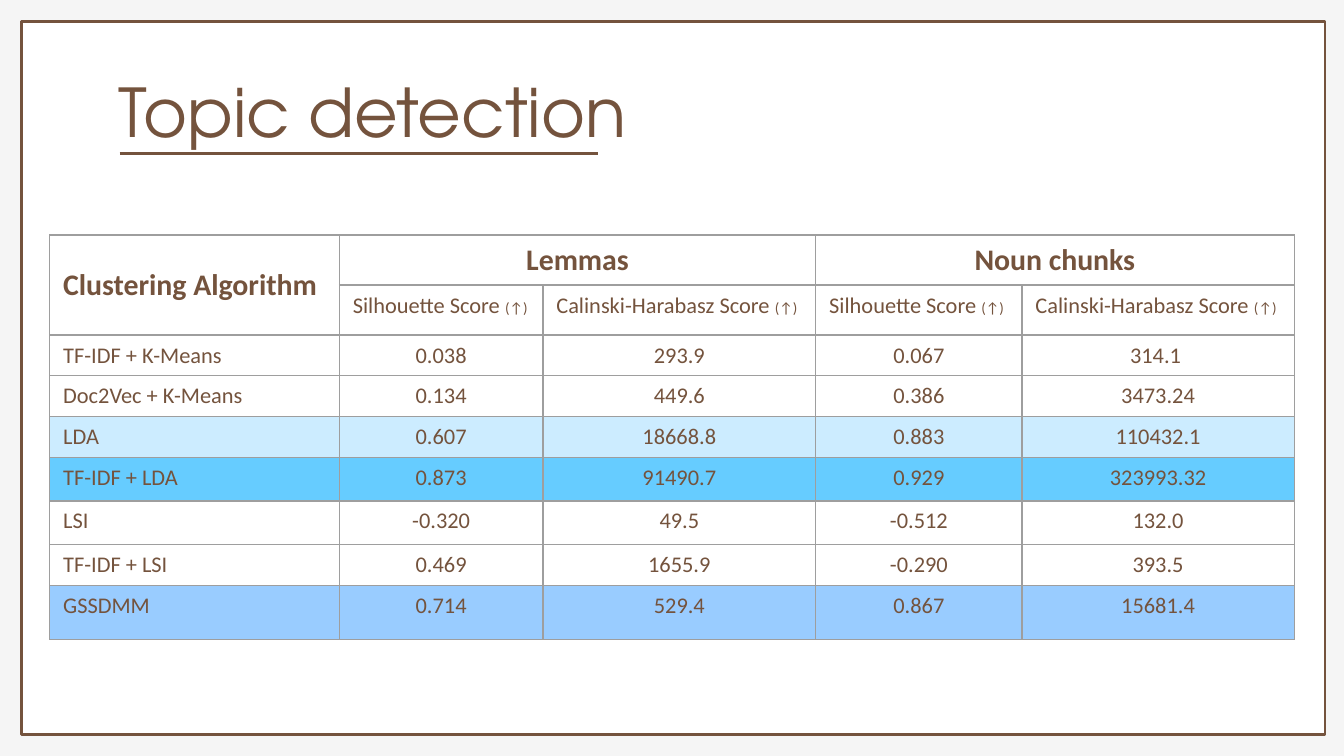
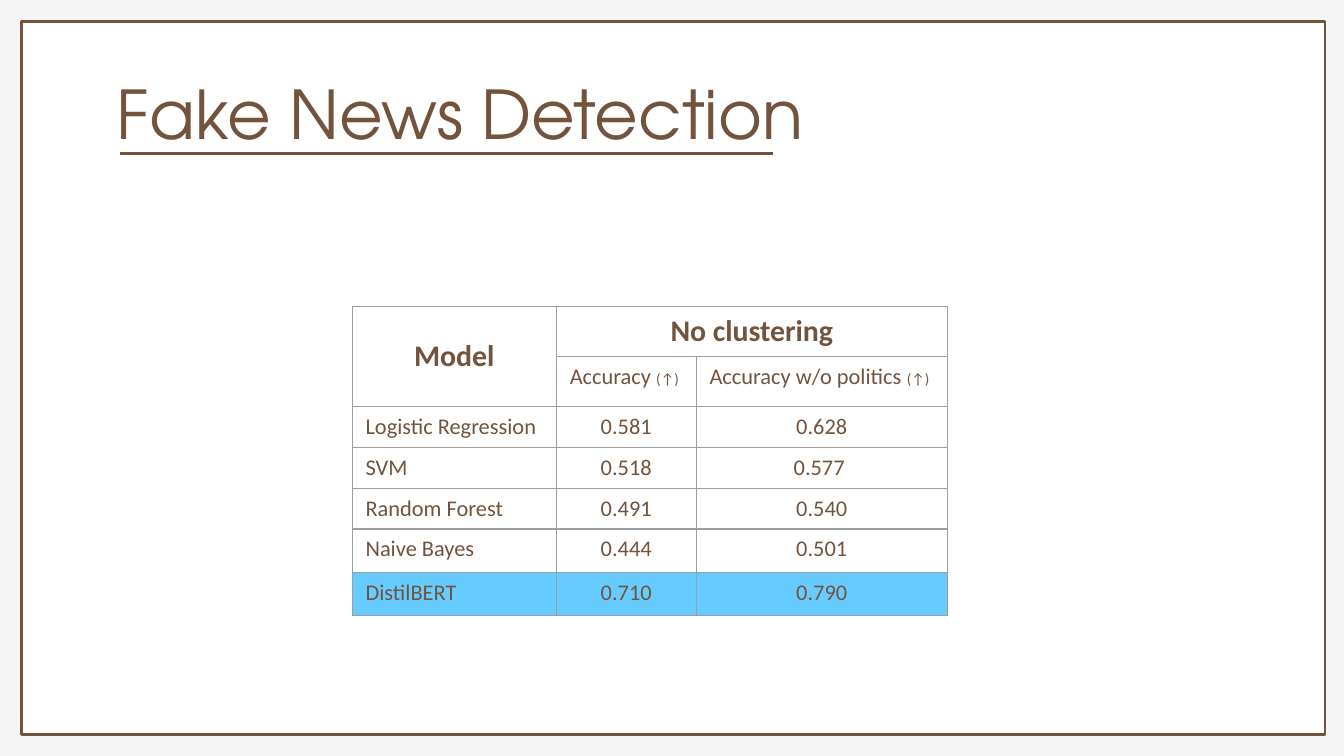
from dataclasses import dataclass

from lxml.etree import SubElement
from pptx import Presentation
from pptx.dml.color import RGBColor
from pptx.enum.shapes import MSO_CONNECTOR as Connector, MSO_SHAPE as Shape
from pptx.enum.text import MSO_ANCHOR as Anchor, MSO_AUTO_SIZE as AutoSize, PP_ALIGN as Align
from pptx.oxml.ns import qn
from pptx.util import Inches, Pt

WIDTH = Inches(10)
HEIGHT = WIDTH * 9 // 16


@dataclass(frozen=True)
class Theme:
    backdrop: str = "F5F5F5"
    paper: str = "FFFFFF"
    brown: str = "74533D"
    grid: str = "9E9E9E"
    pale: str = "CCECFF"
    sky: str = "66CCFF"
    periwinkle: str = "99CCFF"
    title_font: str = "TeX Gyre Adventor"
    body_font: str = "Calibri"
    title_size: int = 36
    group_size: int = 16
    body_size: int = 12
    arrow_size: int = 8
    rule_width: float = 1.5
    grid_width: float = 0.75


THEME = Theme()
BETTER_UP = "(↑)"

TOPIC_GROUPS = ["Lemmas", "Noun chunks"]
TOPIC_SCORES = ["Silhouette Score ", "Calinski-Harabasz Score "]
TOPIC_RESULTS = [
    ("TF-IDF + K-Means", "0.038", "293.9", "0.067", "314.1 "),
    ("Doc2Vec + K-Means", "0.134", "449.6", "0.386", "3473.24"),
    ("LDA", "0.607", "18668.8", "0.883", "110432.1"),
    ("TF-IDF + LDA", "0.873", "91490.7", "0.929", "323993.32"),
    ("LSI", "-0.320", "49.5", "-0.512", "132.0"),
    ("TF-IDF + LSI ", "0.469", "1655.9", "-0.290", "393.5"),
    ("GSSDMM ", "0.714", "529.4", "0.867", "15681.4"),
]
TOPIC_HIGHLIGHTS = {"LDA": THEME.pale, "TF-IDF + LDA": THEME.sky, "GSSDMM": THEME.periwinkle}

NEWS_SCORES = ["Accuracy ", "Accuracy w/o politics "]
NEWS_RESULTS = [
    ("Logistic Regression", "0.581", "0.628"),
    ("SVM", "0.518", "0.577 "),
    ("Random Forest", "0.491", "0.540"),
    ("Naive Bayes", "0.444", "0.501"),
    ("DistilBERT", "0.710", "0.790"),
]
NEWS_HIGHLIGHTS = {"DistilBERT": THEME.sky}


def across(percent):
    return round(WIDTH * percent / 100)


def down(percent):
    return round(HEIGHT * percent / 100)


def rgb(colour):
    return RGBColor.from_string(colour)


def style_font(font, name, size, bold=False):
    font.name, font.size, font.bold = name, Pt(size), bold
    font.color.rgb = rgb(THEME.brown)


def style_line(line, colour, width):
    line.color.rgb = rgb(colour)
    line.width = Pt(width)


def move_frame_to_layout(slide):
    """Draw the framed page once and let every slide of the layout inherit it."""
    frame = slide.shapes.add_shape(Shape.RECTANGLE, across(1.6), down(2.85), across(97), down(94.3))
    frame.shadow.inherit = False
    frame.fill.solid()
    frame.fill.fore_color.rgb = rgb(THEME.paper)
    style_line(frame.line, THEME.brown, THEME.rule_width)
    slide.slide_layout.shapes.element.insert(2, frame.element)


def add_title(slide, text, left, top, rule_end):
    title = slide.shapes.title
    title.left, title.top = across(left), down(top)
    title.width, title.height = across(81.4), down(15.1)
    style_line(title.line, THEME.paper, THEME.grid_width)
    frame = title.text_frame
    frame.margin_left = frame.margin_right = frame.margin_top = frame.margin_bottom = Inches(0.1)
    frame.auto_size = AutoSize.NONE
    frame.vertical_anchor = Anchor.TOP
    frame.text = text
    heading = frame.paragraphs[0]
    heading.alignment = Align.LEFT
    style_font(heading.font, THEME.title_font, THEME.title_size)

    rule = slide.shapes.add_connector(
        Connector.STRAIGHT, across(8.9), down(20.3), across(rule_end), down(20.3))
    style_line(rule.line, THEME.brown, THEME.rule_width)
    SubElement(rule.element.spPr, qn("a:effectLst"))


def outline_cell(cell):
    properties = cell._tc.get_or_add_tcPr()
    for side in ("lnL", "lnR", "lnT", "lnB"):
        edge = SubElement(properties, qn(f"a:{side}"), w=str(Pt(THEME.grid_width)))
        SubElement(SubElement(edge, qn("a:solidFill")), qn("a:srgbClr"), val=THEME.grid)


def write_cell(cell, text, align=Align.LEFT, size=THEME.body_size, bold=False):
    paragraph = cell.text_frame.paragraphs[0]
    paragraph.alignment = align
    style_font(paragraph.font, THEME.body_font, size, bold)
    paragraph.add_run().text = text
    return paragraph


def write_score_header(cell, text):
    arrow = write_cell(cell, text).add_run()
    arrow.text = BETTER_UP
    arrow.font.size = Pt(THEME.arrow_size)


def add_results(slide, corner, columns, rows, label, label_align, groups, scores, results, highlights):
    """Table with a merged label, groups of score columns, then one row per result."""
    graphic = slide.shapes.add_table(
        len(rows), len(columns), across(corner[0]), down(corner[1]),
        across(sum(columns)), down(sum(rows)))
    table = graphic.table
    table.first_row = table.horz_banding = False
    for column, share in zip(table.columns, columns):
        column.width = across(share)
    for row, share in zip(table.rows, rows):
        row.height = down(share)

    fills = [None, None] + [highlights.get(result[0].strip()) for result in results]
    for row, fill in zip(table.rows, fills):
        for cell in row.cells:
            outline_cell(cell)
            if fill:
                cell.fill.solid()
                cell.fill.fore_color.rgb = rgb(fill)
            else:
                cell.fill.background()

    label_cell = table.cell(0, 0)
    label_cell.merge(table.cell(1, 0))
    label_cell.vertical_anchor = Anchor.MIDDLE
    write_cell(label_cell, label, label_align, THEME.group_size, bold=True)
    for index, group in enumerate(groups):
        first = 1 + index * len(scores)
        group_cell = table.cell(0, first)
        group_cell.merge(table.cell(0, first + len(scores) - 1))
        write_cell(group_cell, group, Align.CENTER, THEME.group_size, bold=True)
        for offset, score in enumerate(scores):
            write_score_header(table.cell(1, first + offset), score)

    for r, (method, *values) in enumerate(results, start=2):
        write_cell(table.cell(r, 0), method)
        for c, value in enumerate(values, start=1):
            write_cell(table.cell(r, c), value, Align.CENTER)


def main():
    deck = Presentation()
    deck.slide_width, deck.slide_height = WIDTH, HEIGHT
    backdrop = deck.slide_master.background.fill
    backdrop.solid()
    backdrop.fore_color.rgb = rgb(THEME.backdrop)
    title_only = deck.slide_layouts[5]

    topics = deck.slides.add_slide(title_only)
    move_frame_to_layout(topics)
    add_title(topics, "Topic detection", left=7.8, top=7.5, rule_end=44.5)
    add_results(
        topics, (3.7, 31.1), [21.55, 15.15, 20.3, 15.35, 20.25],
        [6.6] * 2 + [5.4] * 3 + [5.75] * 2 + [5.4, 7.2],
        "Clustering Algorithm", Align.LEFT, TOPIC_GROUPS, TOPIC_SCORES,
        TOPIC_RESULTS, TOPIC_HIGHLIGHTS)

    news = deck.slides.add_slide(title_only)
    add_title(news, "Fake News Detection", left=7.7, top=7.8, rule_end=57.5)
    add_results(
        news, (26.2, 40.55), [15.2, 10.4, 18.7],
        [6.6] * 2 + [5.4] * 3 + [5.75] * 2,
        "Model", Align.CENTER, ["No clustering"], NEWS_SCORES,
        NEWS_RESULTS, NEWS_HIGHLIGHTS)

    deck.save("out.pptx")


if __name__ == "__main__":
    main()
